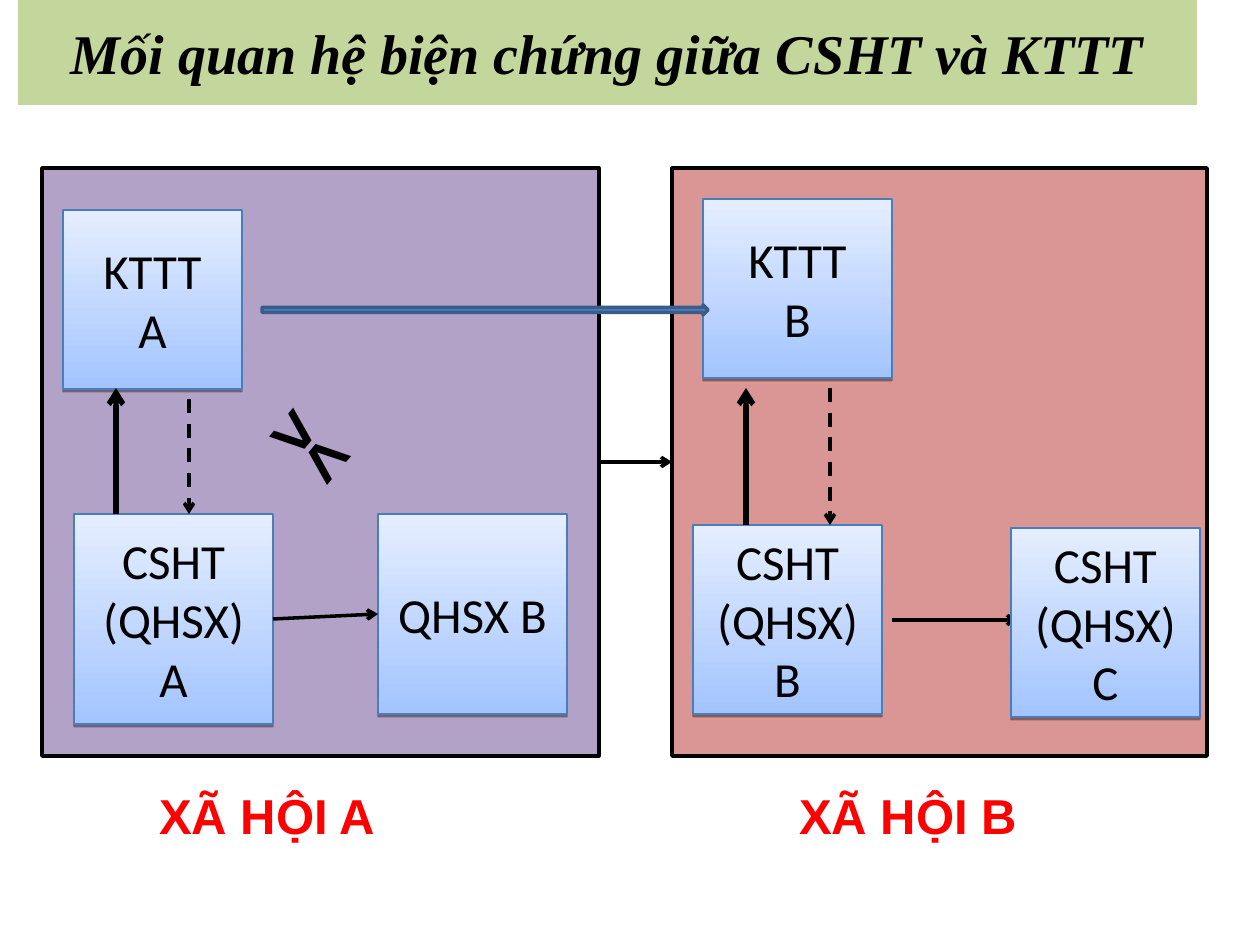
"""Build the slide on the relation between CSHT and KTTT in two societies."""
from pptx import Presentation
from pptx.dml.color import RGBColor
from pptx.enum.dml import MSO_LINE
from pptx.enum.shapes import MSO_CONNECTOR, MSO_SHAPE
from pptx.enum.text import MSO_ANCHOR, MSO_AUTO_SIZE, PP_ALIGN
from pptx.oxml import parse_xml
from pptx.oxml.ns import nsdecls, qn
from pptx.util import Pt

PX = 914400 / 126
SHADOW = (
    f'<a:outerShdw {nsdecls("a")} blurRad="0" dist="20000" dir="5400000" rotWithShape="0">'
    '<a:srgbClr val="000000"><a:alpha val="38000"/></a:srgbClr></a:outerShdw>'
)


def rgb(value):
    return RGBColor.from_string(value)


def write(sp, text, size, font, color="000000", bold=False, italic=False,
          align=PP_ALIGN.CENTER, anchor=MSO_ANCHOR.MIDDLE):
    tf = sp.text_frame
    tf.word_wrap = True
    tf.auto_size = MSO_AUTO_SIZE.NONE
    tf.vertical_anchor = anchor
    for i, line in enumerate(text.split("\n")):
        p = tf.add_paragraph() if i else tf.paragraphs[0]
        p.alignment = align
        r = p.add_run()
        r.text = line
        r.font.size, r.font.name = Pt(size), font
        r.font.bold, r.font.italic = bold, italic
        r.font.color.rgb = rgb(color)


prs = Presentation()
prs.slide_width, prs.slide_height = int(1260 * PX), int(945 * PX)
s = prs.slides.add_slide(prs.slide_layouts[5])

title = s.shapes.title
title.left, title.top, title.width, title.height = [int(v * PX) for v in (18, 0, 1179, 105)]
title.fill.solid()
title.fill.fore_color.rgb = rgb("C3D69B")
write(title, "Mối quan hệ biện chứng giữa CSHT và KTTT", 32, "Times New Roman",
      bold=True, italic=True)
tf = title.text_frame
tf.margin_left = tf.margin_right = int(30 * PX)
tf.margin_top = tf.margin_bottom = 0

panels = []
for left, width, color in ((42, 557, "B3A2C7"), (672, 535, "D99694")):
    sp = s.shapes.add_shape(MSO_SHAPE.RECTANGLE,
                            *[int(v * PX) for v in (left, 168, width, 588)])
    sp.shadow.inherit = False
    sp.fill.solid()
    sp.fill.fore_color.rgb = rgb(color)
    sp.line.color.rgb = rgb("000000")
    sp.line.width = Pt(2)
    panels.append(sp)

boxes = {}
for text, box in (
    ("KTTT\nA", (63, 210, 179, 179)),
    ("QHSX B", (378, 514, 189, 200)),
    ("CSHT\n(QHSX)\nA", (74, 514, 199, 210)),
    ("CSHT\n(QHSX)\nB", (693, 525, 189, 189)),
    ("KTTT\nB", (703, 199, 189, 179)),
    ("CSHT\n(QHSX)\nC", (1011, 528, 189, 189)),
):
    sp = s.shapes.add_shape(MSO_SHAPE.RECTANGLE, *[int(v * PX) for v in box])
    sp.shadow.inherit = False
    sp._element.spPr.find(qn("a:effectLst")).append(parse_xml(SHADOW))
    sp.fill.gradient()
    sp.fill.gradient_angle = 90
    for stop, color in zip(sp.fill.gradient_stops, ("A3C4FF", "E5EEFF")):
        stop.color.rgb = rgb(color)
    sp.line.color.rgb = rgb("4A7EBB")
    sp.line.width = Pt(0.75)
    write(sp, text, 28, "Calibri")
    boxes[text] = sp

for ends, width, dash, joined in (
    ((599, 462, 672, 462), 2, None, panels),
    ((273, 619, 378, 614), 2, None, (boxes["CSHT\n(QHSX)\nA"], boxes["QHSX B"])),
    ((189, 399, 189, 514), 2, MSO_LINE.DASH, None),
    ((116, 514, 116, 388), 3, None, None),
    ((746, 525, 746, 388), 3, None, None),
    ((830, 388, 830, 525), 2, MSO_LINE.DASH, None),
    ((892, 620, 1018, 620), 2, None, None),
):
    cx = s.shapes.add_connector(MSO_CONNECTOR.STRAIGHT, *[int(v * PX) for v in ends])
    if joined:
        cx.begin_connect(joined[0], 3)
        cx.end_connect(joined[1], 1)
    cx.line.color.rgb = rgb("000000")
    cx.line.width = Pt(width)
    if dash:
        cx.line.dash_style = dash
    cx.line._get_or_add_ln().append(parse_xml(f'<a:tailEnd {nsdecls("a")} type="arrow"/>'))
    cx._element.spPr.append(parse_xml(f'<a:effectLst {nsdecls("a")}/>'))

for text, box, size, color, angle in (
    ("XÃ HỘI A", (147, 779, 326, 72), 28, "FF0000", 0),
    ("XÃ HỘI B", (787, 779, 326, 72), 28, "FF0000", 0),
    ("><", (258, 401, 126, 97), 40, "000000", 39.8),
):
    sp = s.shapes.add_textbox(*[int(v * PX) for v in box])
    sp.rotation = angle
    write(sp, text, size, "Arial", color, bold=True, align=PP_ALIGN.LEFT, anchor=MSO_ANCHOR.TOP)

arrow = s.shapes.add_shape(MSO_SHAPE.RIGHT_ARROW, *[int(v * PX) for v in (262, 305, 446, 10)])
arrow.shadow.inherit = False
arrow.fill.solid()
arrow.fill.fore_color.rgb = rgb("4F81BD")
arrow.line.color.rgb = rgb("385D8A")
arrow.line.width = Pt(2)

last_box = boxes["CSHT\n(QHSX)\nC"]._element
last_box.getparent().append(last_box)

prs.save("out.pptx")
